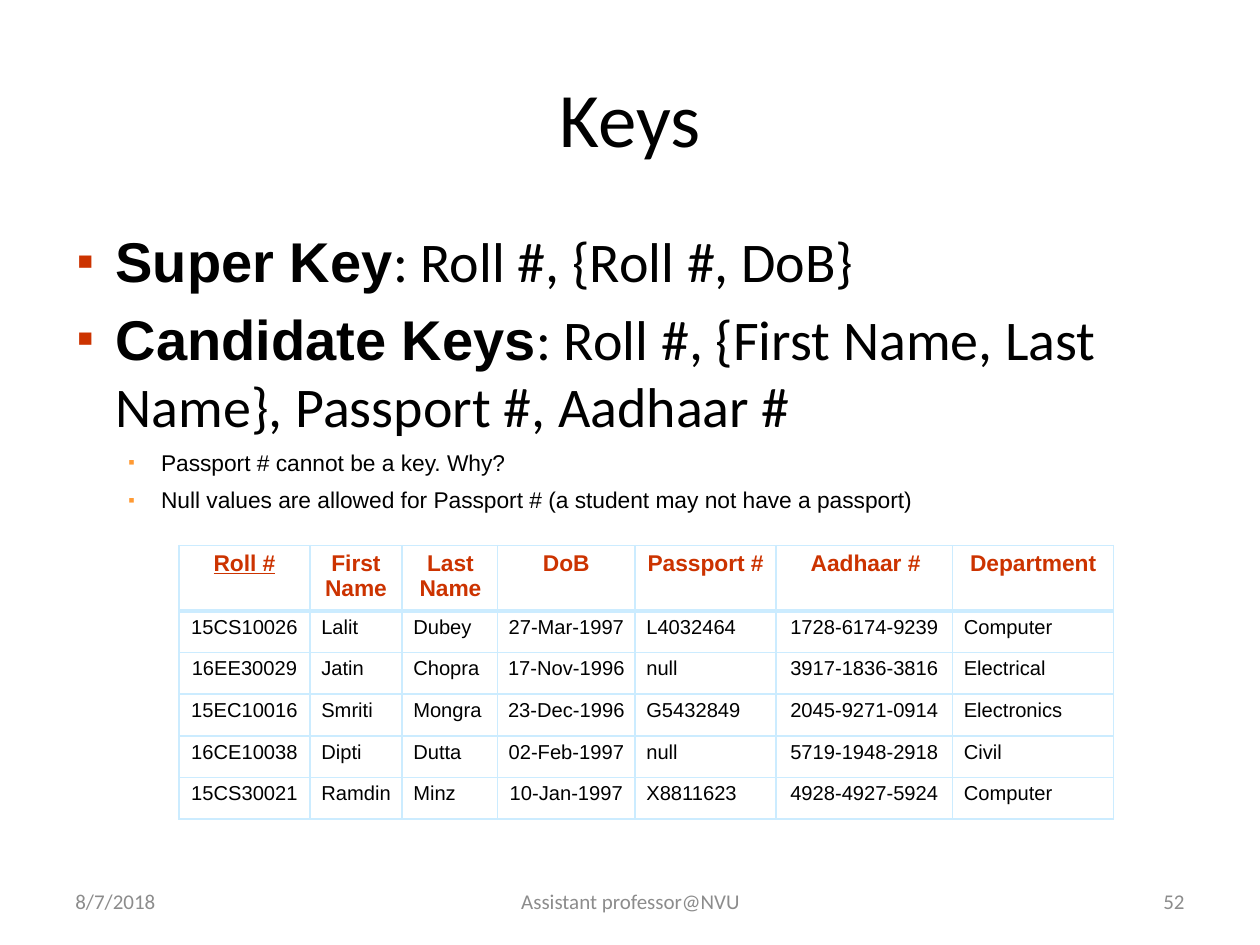
from typing import NamedTuple

from lxml.etree import SubElement
from pptx import Presentation
from pptx.dml.color import RGBColor
from pptx.enum.text import MSO_ANCHOR, PP_ALIGN
from pptx.oxml.ns import qn
from pptx.util import Inches, Pt

BLACK, GREY = "000000", "8C8C8C"
RED, ORANGE, PALE_BLUE = "CC3300", "FF9A33", "CCECFF"
LEFT, CENTER, RIGHT = PP_ALIGN.LEFT, PP_ALIGN.CENTER, PP_ALIGN.RIGHT


class Bullet(NamedTuple):
    lead: str
    text: str
    font: str
    size: float
    level: int
    indent: float
    hanging: float
    before: float
    color: str
    percent: int


class Column(NamedTuple):
    heading: str
    width: float
    align: PP_ALIGN
    heading_align: PP_ALIGN
    heading_indent: float = 0
    first_line: float = 0


class Line(NamedTuple):
    text: str
    left: float
    top: float
    width: float
    height: float
    align: PP_ALIGN
    size: float
    color: str


LINES = [
    Line("Keys", 0.5, 0.3, 9, 1.25, CENTER, 44, BLACK),
    Line("8/7/2018", 0.5, 6.95, 2.33, 0.4, LEFT, 12, GREY),
    Line("Assistant professor@NVU", 3.42, 6.95, 3.17, 0.4, CENTER, 12, GREY),
    Line("52", 7.17, 6.95, 2.33, 0.4, RIGHT, 12, GREY),
]

MAIN = ("Calibri", 32, 0, 0.32, -0.31)
SUB = ("Arial", 13, 1, 0.68, -0.26)
BULLETS = [
    Bullet("Super Key", ": Roll #, {Roll #, DoB}", *MAIN, 6.7, RED, 88),
    Bullet("Candidate Keys",
           ": Roll #, {First Name, Last Name}, Passport #, Aadhaar #",
           *MAIN, 5.8, RED, 88),
    Bullet("", "Passport # cannot be a key. Why?", *SUB, 5.8, ORANGE, 81),
    Bullet("", "Null values are allowed for Passport # "
           "(a student may not have a passport)", *SUB, 5.8, ORANGE, 81),
]

COLUMNS = [
    Column("Roll #", 1.04, CENTER, CENTER),
    Column("First Name", 0.73, LEFT, LEFT, 0.12, 0.05),
    Column("Last Name", 0.76, LEFT, LEFT, 0.14, 0.06),
    Column("DoB", 1.09, CENTER, CENTER),
    Column("Passport #", 1.12, LEFT, LEFT, 0.1),
    Column("Aadhaar #", 1.4, CENTER, CENTER, 0.02),
    Column("Department", 1.28, LEFT, LEFT, 0.14),
]
STUDENTS = [
    ("15CS10026", "Lalit", "Dubey", "27-Mar-1997", "L4032464", "1728-6174-9239", "Computer"),
    ("16EE30029", "Jatin", "Chopra", "17-Nov-1996", "null", "3917-1836-3816", "Electrical"),
    ("15EC10016", "Smriti", "Mongra", "23-Dec-1996", "G5432849", "2045-9271-0914", "Electronics"),
    ("16CE10038", "Dipti", "Dutta", "02-Feb-1997", "null", "5719-1948-2918", "Civil"),
    ("15CS30021", "Ramdin", "Minz", "10-Jan-1997", "X8811623", "4928-4927-5924", "Computer"),
]
HEADER_HEIGHT, ROW_HEIGHT = 0.52, 0.33


def set_font(font, name: str, size: float, color: str, bold: bool = False) -> None:
    font.name, font.size, font.bold = name, Pt(size), bold
    font.color.rgb = RGBColor.from_string(color)


def set_indent(paragraph, left: float, first: float):
    properties = paragraph._p.get_or_add_pPr()
    properties.set("marL", str(Inches(left)))
    properties.set("indent", str(Inches(first)))
    return properties


def add_frame(slide, left: float, top: float, width: float, height: float):
    frame = slide.shapes.add_textbox(
        Inches(left), Inches(top), Inches(width), Inches(height)).text_frame
    frame.word_wrap = True
    return frame


def add_line(slide, line: Line) -> None:
    frame = add_frame(slide, line.left, line.top, line.width, line.height)
    frame.vertical_anchor = MSO_ANCHOR.MIDDLE
    paragraph = frame.paragraphs[0]
    paragraph.text, paragraph.alignment = line.text, line.align
    set_font(paragraph.font, "Calibri", line.size, line.color)


def write_bullet(paragraph, bullet: Bullet) -> None:
    paragraph.level = bullet.level
    paragraph.space_before = Pt(bullet.before)
    properties = set_indent(paragraph, bullet.indent, bullet.hanging)
    SubElement(SubElement(properties, qn("a:buClr")), qn("a:srgbClr"), val=bullet.color)
    SubElement(properties, qn("a:buSzPct"), val=str(bullet.percent * 1000))
    SubElement(properties, qn("a:buFont"), typeface="Arial")
    SubElement(properties, qn("a:buChar"), char="▪")
    set_font(paragraph.font, bullet.font, bullet.size, BLACK)
    if bullet.lead:
        lead = paragraph.add_run()
        lead.text = bullet.lead
        set_font(lead.font, "Arial", bullet.size, BLACK, bold=True)
    paragraph.add_run().text = bullet.text


def set_borders(cell, top: float, bottom: float) -> None:
    properties = cell._tc.get_or_add_tcPr()
    for side, points in (("L", 1), ("R", 1), ("T", top), ("B", bottom)):
        border = SubElement(properties, qn(f"a:ln{side}"), w=str(Pt(points)))
        SubElement(SubElement(border, qn("a:solidFill")), qn("a:srgbClr"), val=PALE_BLUE)


def write_cell(cell, text: str, align: PP_ALIGN, before: float):
    cell.margin_left = cell.margin_right = cell.margin_bottom = 0
    cell.margin_top = Inches(0.04)
    paragraph = cell.text_frame.paragraphs[0]
    paragraph.text, paragraph.alignment = text, align
    paragraph.space_before = Pt(before)
    return paragraph


def add_student_table(slide) -> None:
    height = HEADER_HEIGHT + ROW_HEIGHT * len(STUDENTS)
    table = slide.shapes.add_table(
        len(STUDENTS) + 1, len(COLUMNS), Inches(1.42), Inches(4.33),
        Inches(sum(column.width for column in COLUMNS)), Inches(height)).table
    table.first_row = table.horz_banding = False
    for row_number, row in enumerate(table.rows):
        row.height = Inches(ROW_HEIGHT if row_number else HEADER_HEIGHT)
        for cell in row.cells:
            set_borders(cell, 3 if row_number == 1 else 1, 1 if row_number else 3)
            cell.fill.background()

    for number, column in enumerate(COLUMNS):
        table.columns[number].width = Inches(column.width)
        heading = write_cell(table.cell(0, number), column.heading, column.heading_align, 2.8)
        set_indent(heading, column.heading_indent, column.first_line)
        set_font(heading.font, "Arial", 13, RED, bold=True)
        heading.font.underline = number == 0  # primary key
        for row_number, student in enumerate(STUDENTS, 1):
            entry = write_cell(table.cell(row_number, number), student[number], column.align, 2.6)
            set_indent(entry, 0.09 if column.align == LEFT else 0, 0)
            set_font(entry.font, "Arial", 11.5, BLACK)


def main() -> None:
    presentation = Presentation()
    presentation.slide_width, presentation.slide_height = Inches(10), Inches(7.5)
    slide = presentation.slides.add_slide(presentation.slide_layouts[6])

    # Title and footer
    for line in LINES:
        add_line(slide, line)

    # Key definitions
    body = add_frame(slide, 0.5, 1.75, 9, 4.95)
    for number, bullet in enumerate(BULLETS):
        write_bullet(body.add_paragraph() if number else body.paragraphs[0], bullet)

    # Student records
    add_student_table(slide)
    presentation.save("out.pptx")


if __name__ == "__main__":
    main()
